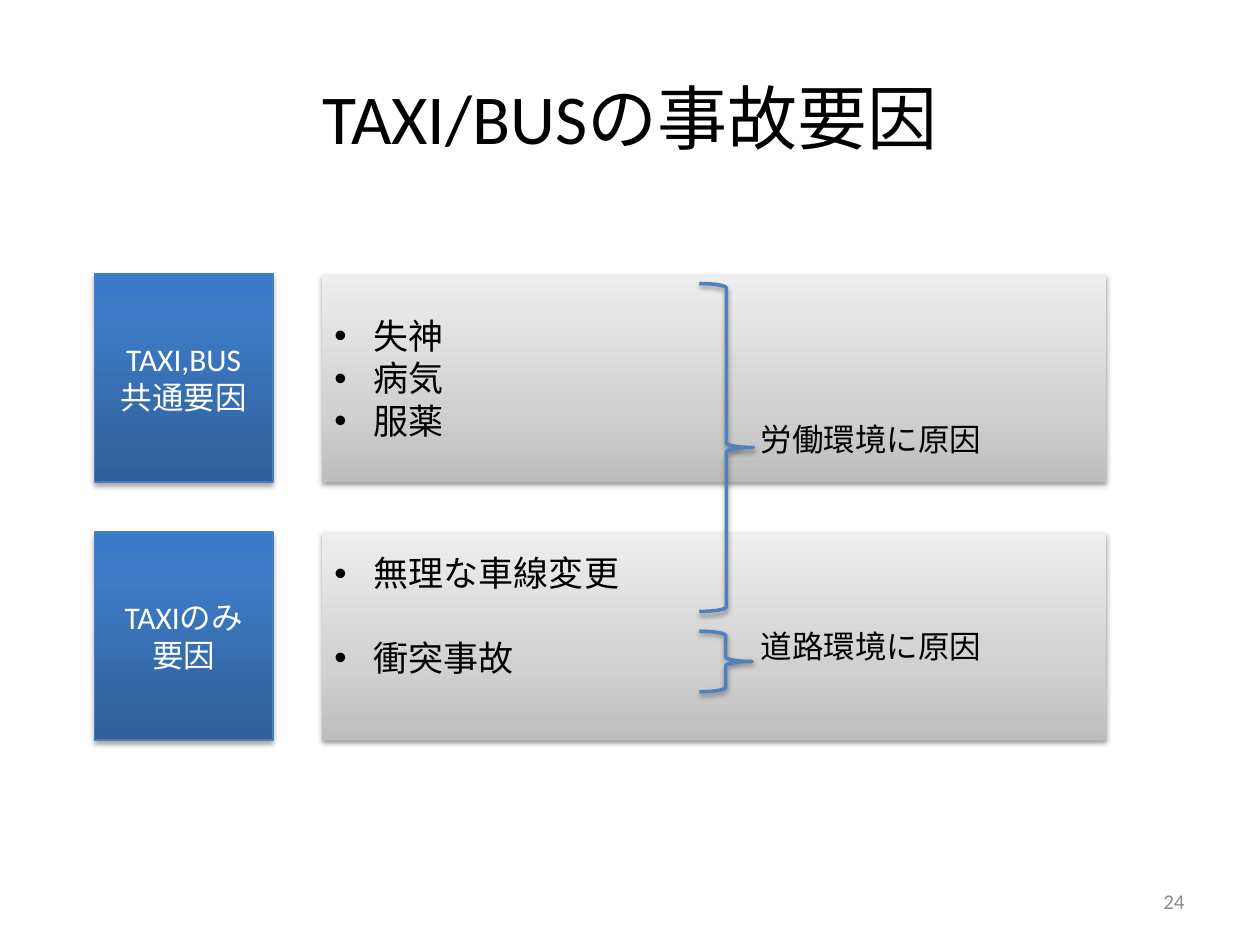
"""Build the slide on the causes of taxi and bus accidents."""
from dataclasses import dataclass

from lxml import etree
from pptx import Presentation
from pptx.dml.color import RGBColor
from pptx.enum.shapes import MSO_SHAPE
from pptx.enum.text import MSO_ANCHOR, PP_ALIGN
from pptx.oxml.ns import qn
from pptx.util import Pt

RECTANGLE = MSO_SHAPE.RECTANGLE
BRACE = MSO_SHAPE.RIGHT_BRACE
MIDDLE = MSO_ANCHOR.MIDDLE
LEFT, CENTER, RIGHT = PP_ALIGN.LEFT, PP_ALIGN.CENTER, PP_ALIGN.RIGHT


@dataclass(frozen=True)
class Theme:
    font: str = "Calibri"
    title_size: int = 40
    list_size: int = 20
    label_size: int = 18
    number_size: int = 12
    ink: str = "000000"
    light: str = "FFFFFF"
    muted: str = "8C8C8C"
    edge: str = "4B7EBC"
    brace: str = "4F81BD"
    blue: tuple = ((0, "2F5F99"), (80, "3D7CC7"), (100, "3A7CCB"))
    gray: tuple = ((0, "BDBDBD"), (35, "D1D1D1"), (100, "EEEEEE"))


theme = Theme()


def write(box, lines, size, color, align=LEFT, bullet=False, gap=0):
    frame = box.text_frame
    frame.text = "\n".join(lines)
    for index, para in enumerate(frame.paragraphs):
        if bullet:
            props = para._p.get_or_add_pPr()
            props.set("marL", str(Pt(22.5)))
            props.set("indent", str(-Pt(22.5)))
            etree.SubElement(props, qn("a:buFont"), typeface="Arial")
            etree.SubElement(props, qn("a:buChar"), char="•")
        para.alignment = align
        if index and gap:
            para.space_before = Pt(gap)
        para.font.name = theme.font
        para.font.size = Pt(size)
        para.font.color.rgb = RGBColor.from_string(color)


def add_figure(kind, bounds, stops=None, edge=None, width=0, distance=1.6, opacity=38):
    shape = page.shapes.add_shape(kind, *map(Pt, bounds))
    if stops:
        shape.fill.gradient()
        shape.fill.gradient_angle = 90
        stop_list = shape._element.spPr.find(".//" + qn("a:gsLst"))
        stop_list.clear()
        for position, color in stops:
            stop = etree.SubElement(stop_list, qn("a:gs"), pos=str(position * 1000))
            etree.SubElement(stop, qn("a:srgbClr"), val=color)
    else:
        shape.fill.background()
    if edge:
        shape.line.color.rgb = RGBColor.from_string(edge)
        shape.line.width = Pt(width)
    else:
        shape.line.fill.background()
    shape.shadow.inherit = False
    effects = shape._element.spPr.find(qn("a:effectLst"))
    shadow = etree.SubElement(effects, qn("a:outerShdw"), blurRad=str(Pt(3.1)),
                              dist=str(Pt(distance)), dir="5400000", rotWithShape="0")
    tint = etree.SubElement(shadow, qn("a:srgbClr"), val=theme.ink)
    etree.SubElement(tint, qn("a:alpha"), val=str(opacity * 1000))
    shape.text_frame.vertical_anchor = MIDDLE
    return shape


deck = Presentation()
deck.slide_width, deck.slide_height = Pt(720), Pt(540)
page = deck.slides.add_slide(deck.slide_layouts[5])

title = page.shapes.title
title.left, title.top, title.width, title.height = map(Pt, (36, 21.6, 648, 90))
title.text_frame.vertical_anchor = MIDDLE
write(title, ["TAXI/BUSの事故要因"], theme.title_size, theme.ink, CENTER)

row_height = 119
list_line = 24
rows = [
    (156.5, ["TAXI,BUS", "共通要因"], ["失神", "病気", "服薬"], 0),
    (304, ["TAXIのみ", "要因"], ["無理な車線変更", "衝突事故"], list_line),
]
for top, heading, causes, gap in rows:
    tile = add_figure(RECTANGLE, (54, top, 102, row_height), theme.blue,
                      theme.edge, 0.75, 1.8, 35)
    write(tile, heading, theme.label_size, theme.light, CENTER)
    panel = add_figure(RECTANGLE, (184, top, 448, row_height), theme.gray)
    panel.text_frame.margin_bottom = Pt(3.6 + gap)
    write(panel, causes, theme.list_size, theme.ink, bullet=True, gap=gap)

groups = [
    ("労働環境に原因", (399.6, 162, 31, 187.4), (427.7, 236.2, 170, 29), True),
    ("道路環境に原因", (399.6, 360.7, 30.2, 34.6), (427.7, 355, 140.4, 29), False),
]
for text, brace_bounds, label_bounds, wrap in groups:
    add_figure(BRACE, brace_bounds, edge=theme.brace, width=2)
    label = page.shapes.add_textbox(*map(Pt, label_bounds))
    label.text_frame.word_wrap = wrap
    write(label, [text], theme.label_size, theme.ink)

number = page.shapes.add_textbox(Pt(516), Pt(500.5), Pt(168), Pt(28.8))
number.text_frame.word_wrap = True
number.text_frame.vertical_anchor = MIDDLE
write(number, ["24"], theme.number_size, theme.muted, RIGHT)

deck.save("out.pptx")
